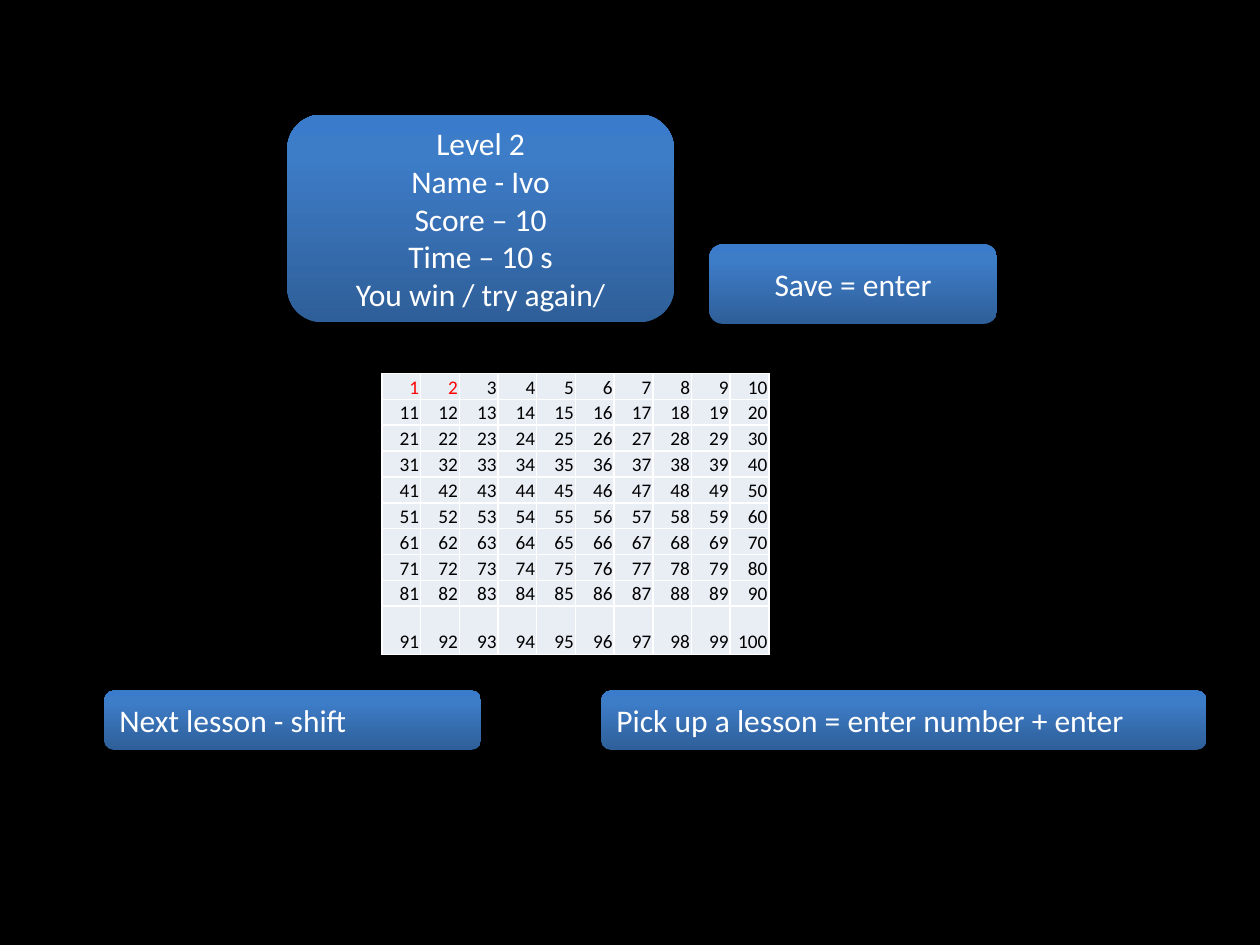
import copy

import lxml.etree
import pptx
import pptx.dml.color
import pptx.enum.shapes
import pptx.enum.text
import pptx.oxml.ns
import pptx.util

Cm = pptx.util.Cm
Pt = pptx.util.Pt
ALIGN = pptx.enum.text.PP_ALIGN
ANCHOR = pptx.enum.text.MSO_ANCHOR
qn = pptx.oxml.ns.qn

COLORS = {
    "background": "000000",
    "white": "FFFFFF",
    "number": "000000",
    "current": "FF0000",
    "cell": "E9EDF4",
    "bottom": "2F5F99",
    "middle": "3D7CC7",
    "top": "3A7CCB",
}
GRADIENT = [(0, "bottom"), (0.8, "middle"), (1, "top")]


def rgb(name):
    """Return the named colour."""
    return pptx.dml.color.RGBColor.from_string(COLORS[name])


def style_para(para, size, color, align):
    """Set the alignment and font of a paragraph."""
    para.alignment = align
    for span in para.runs:
        span.font.size = Pt(size)
        span.font.name = "Calibri"
        span.font.color.rgb = rgb(color)


def fill_gradient(shape):
    """Fill a shape with the blue gradient, darkest at the bottom."""
    shape.fill.gradient()
    shape.fill.gradient_angle = 90
    stop_list = shape.element.spPr.find(".//" + qn("a:gsLst"))
    stop_list.append(copy.deepcopy(stop_list[-1]))
    for stop, (position, color) in zip(shape.fill.gradient_stops, GRADIENT):
        stop.position = position
        stop.color.rgb = rgb(color)


def add_panel(page, box, lines, align):
    """Add a rounded blue panel with one paragraph per line."""
    panel = page.shapes.add_shape(
        pptx.enum.shapes.MSO_SHAPE.ROUNDED_RECTANGLE, *map(Cm, box))
    panel.shadow.inherit = False
    panel.line.fill.background()
    fill_gradient(panel)
    frame = panel.text_frame
    frame.word_wrap = True
    frame.vertical_anchor = ANCHOR.MIDDLE
    frame.text = "\n".join(lines)
    for para in frame.paragraphs:
        style_para(para, 18, "white", align)


def add_borders(cell):
    """Draw a thin white line on every side of a cell."""
    properties = cell._tc.get_or_add_tcPr()
    for side in ("lnL", "lnR", "lnT", "lnB"):
        line = lxml.etree.SubElement(properties, qn("a:" + side), w=str(Pt(1)))
        fill = lxml.etree.SubElement(line, qn("a:solidFill"))
        lxml.etree.SubElement(fill, qn("a:srgbClr"), val=COLORS["white"])


def add_number_grid(page, box, last_height, size=10, current=(1, 2)):
    """Add the table of lesson numbers with a taller last row."""
    left, top, width, height = box
    table = page.shapes.add_table(size, size, *map(Cm, box)).table
    table.first_row = False
    table.horz_banding = False
    for column in table.columns:
        column.width = Cm(width / size)
    for row in table.rows:
        row.height = Cm((height - last_height) / (size - 1))
    table.rows[size - 1].height = Cm(last_height)
    for number, cell in enumerate(table.iter_cells(), 1):
        add_borders(cell)
        cell.fill.solid()
        cell.fill.fore_color.rgb = rgb("cell")
        cell.margin_left = cell.margin_right = cell.margin_top = Cm(0.03)
        cell.margin_bottom = 0
        cell.vertical_anchor = ANCHOR.BOTTOM
        cell.text_frame.text = str(number)
        color = "current" if number in current else "number"
        style_para(cell.text_frame.paragraphs[0], 11, color, ALIGN.RIGHT)


def add_level_page(deck):
    """Add the level page with its result, number grid and key hints."""
    page = deck.slides.add_slide(deck.slide_layouts[6])
    page.background.fill.solid()
    page.background.fill.fore_color.rgb = rgb("background")
    add_number_grid(page, (7.7, 7.53, 7.8, 5.66), 0.97)
    result = ["Level 2", "Name - Ivo", "Score – 10", "Time – 10 s",
              "You win / try again/"]
    add_panel(page, (5.79, 2.31, 7.8, 4.19), result, ALIGN.CENTER)
    add_panel(page, (2.1, 13.92, 7.6, 1.2), ["Next lesson - shift"], ALIGN.LEFT)
    add_panel(page, (12.12, 13.92, 12.2, 1.2),
              ["Pick up a lesson = enter number + enter"], ALIGN.LEFT)
    add_panel(page, (14.3, 4.93, 5.8, 1.6), ["Save = enter"], ALIGN.CENTER)


deck = pptx.Presentation()
deck.slide_width = Cm(25.4)
deck.slide_height = Cm(19.05)
add_level_page(deck)
deck.save("out.pptx")
